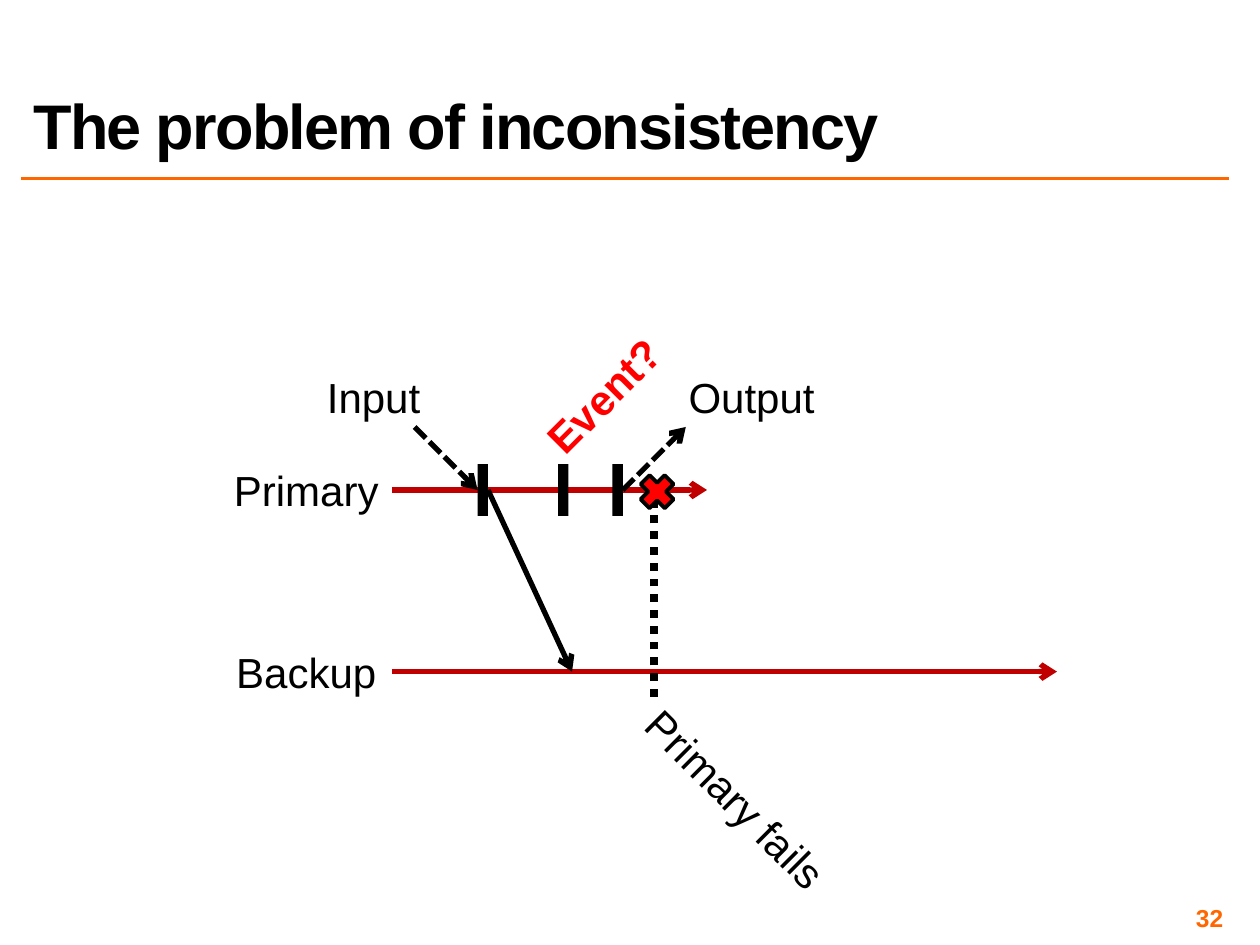
from dataclasses import dataclass

import pptx
import pptx.dml.color
import pptx.enum.dml
import pptx.enum.shapes
import pptx.enum.text
import pptx.oxml.ns
import pptx.util
from lxml import etree

Pt = pptx.util.Pt
ALIGN = pptx.enum.text.PP_ALIGN
ANCHOR = pptx.enum.text.MSO_ANCHOR
SHAPE = pptx.enum.shapes.MSO_SHAPE
DASH = pptx.enum.dml.MSO_LINE


@dataclass(frozen=True)
class Theme:
    """Colours, font and type sizes of the slide."""
    font: str = "Arial"
    ink: str = "000000"
    accent: str = "FF6600"
    lane: str = "C00000"
    alert: str = "FF0000"
    title_size: float = 36
    label_size: float = 24
    number_size: float = 14
    rule_width: float = 2
    stroke: float = 3


THEME = Theme()


def rgb(colour):
    """Turn a hex string into a colour."""
    return pptx.dml.color.RGBColor.from_string(colour)


def add_text(slide, box, text, size, colour=THEME.ink, bold=False,
             align=ALIGN.CENTER, anchor=ANCHOR.TOP, wrap=False, rotation=0):
    """Add a one-run text box and return it."""
    holder = slide.shapes.add_textbox(*map(Pt, box))
    holder.rotation = rotation
    frame = holder.text_frame
    frame.word_wrap = wrap
    frame.vertical_anchor = anchor
    if not wrap:
        frame.auto_size = pptx.enum.text.MSO_AUTO_SIZE.SHAPE_TO_FIT_TEXT
    paragraph = frame.paragraphs[0]
    paragraph.alignment = align
    run = paragraph.add_run()
    run.text = text
    run.font.name = THEME.font
    run.font.size = Pt(size)
    run.font.bold = bold
    run.font.color.rgb = rgb(colour)
    return holder


def add_line(slide, start, end, colour=THEME.ink, width=THEME.stroke, dash=None, arrow=True):
    """Add a straight connector, with an open arrowhead at its end if wanted."""
    line = slide.shapes.add_connector(
        pptx.enum.shapes.MSO_CONNECTOR.STRAIGHT, *map(Pt, (*start, *end)))
    line.line.color.rgb = rgb(colour)
    line.line.width = Pt(width)
    if dash is not None:
        line.line.dash_style = dash
    properties = line._element.spPr
    if arrow:
        etree.SubElement(properties.find(pptx.oxml.ns.qn("a:ln")),
                         pptx.oxml.ns.qn("a:tailEnd"), type="arrow")
    etree.SubElement(properties, pptx.oxml.ns.qn("a:effectLst"))


def add_solid(slide, kind, box, colour):
    """Add a plain filled shape without outline or shadow."""
    solid = slide.shapes.add_shape(kind, *map(Pt, box))
    solid.shadow.inherit = False
    solid.fill.solid()
    solid.fill.fore_color.rgb = rgb(colour)
    solid.line.fill.background()
    return solid


def build_header(slide, box, title):
    """Place the title and the rule beneath it."""
    left, top, width, height = box
    rule_y = top + height
    add_line(slide, (left, rule_y), (left + width, rule_y),
             THEME.accent, THEME.rule_width, arrow=False)
    heading = add_text(slide, (left, top, width, height - 6), title, THEME.title_size,
                       bold=True, align=ALIGN.LEFT, anchor=ANCHOR.BOTTOM, wrap=True)
    paragraph = heading.text_frame.paragraphs[0]
    paragraph.line_spacing = 0.8
    paragraph.runs[0].font._element.set("spc", "-100")


def build_page_number(slide, box, number):
    """Place the slide number at the right of its box."""
    holder = add_text(slide, box, number, THEME.number_size, THEME.accent, bold=True,
                      align=ALIGN.RIGHT, anchor=ANCHOR.MIDDLE, wrap=True)
    frame = holder.text_frame
    frame.margin_left = frame.margin_right = frame.margin_top = frame.margin_bottom = Pt(3)


def build_timeline(slide, box):
    """Draw the primary and backup lanes with their events, messages and failure."""
    left, top, width, _ = box
    label_height, tick_width, tick_height, reach = 36, 6, 29.5, 36
    primary_y, backup_y = top + 72, top + 175.8
    lane_x, fail_x = left + 98, left + 247.7
    input_x, event_x, output_x = (left + x for x in (149.9, 195.9, 226.9))
    primary_end, backup_end = left + 278, left + width
    replica_x = left + 200.9

    for name, lane_y, end_x in (("Primary", primary_y, primary_end),
                                ("Backup", backup_y, backup_end)):
        add_text(slide, (left, lane_y - label_height / 2, 98, label_height),
                 name, THEME.label_size)
        add_line(slide, (lane_x, lane_y), (end_x, lane_y), THEME.lane)

    sent_x = output_x + tick_width
    add_line(slide, (input_x - tick_width / 2 - reach, primary_y - reach),
             (input_x - tick_width / 2, primary_y), dash=DASH.SQUARE_DOT)
    add_line(slide, (sent_x - 3, primary_y), (sent_x - 3 + reach, primary_y - reach),
             dash=DASH.SQUARE_DOT)
    slide.shapes[-2].line.dash_style = slide.shapes[-1].line.dash_style = DASH.DASH
    for line in (slide.shapes[-2], slide.shapes[-1]):
        line._element.spPr.find(".//" + pptx.oxml.ns.qn("a:prstDash")).set("val", "sysDash")
    add_line(slide, (fail_x, backup_y + 14.4), (fail_x, primary_y),
             width=4.5, dash=DASH.ROUND_DOT, arrow=False)
    add_line(slide, (input_x + tick_width / 2, primary_y), (replica_x, backup_y))

    for tick_x in (input_x, event_x, output_x):
        add_solid(slide, SHAPE.RECTANGLE,
                  (tick_x - tick_width / 2, primary_y - tick_height / 2, tick_width, tick_height),
                  THEME.ink)

    for text, x, y, label_width, rotation, colour, bold in (
            ("Input", 53.3, 0.8, 68.4, 0, THEME.ink, False),
            ("Output", 259.9, 0.8, 87.1, 0, THEME.ink, False),
            ("Primary fails", 221, 230.5, 147.6, 45, THEME.ink, False),
            ("Event?", 171.4, 0, 95, 315, THEME.alert, True)):
        add_text(slide, (left + x, top + y, label_width, label_height), text,
                 THEME.label_size, colour, bold, rotation=rotation)

    cross_size = 19.4
    cross = add_solid(slide, SHAPE.CROSS,
                      (fail_x - 7.9, primary_y + 1 - cross_size / 2, cross_size, cross_size),
                      THEME.alert)
    cross.adjustments[0] = 0.315
    cross.rotation = 45
    cross.line.color.rgb = rgb(THEME.ink)
    cross.line.width = Pt(2.25)


def main():
    """Build the slide and save it."""
    deck = pptx.Presentation()
    deck.slide_width, deck.slide_height = Pt(720), Pt(540)
    slide = deck.slides.add_slide(deck.slide_layouts[6])
    build_header(slide, (12, 12, 690, 90), "The problem of inconsistency")
    build_page_number(slide, (534, 516, 168, 17), "32")
    build_timeline(slide, (126, 208, 478, 267))
    deck.save("out.pptx")


if __name__ == "__main__":
    main()
